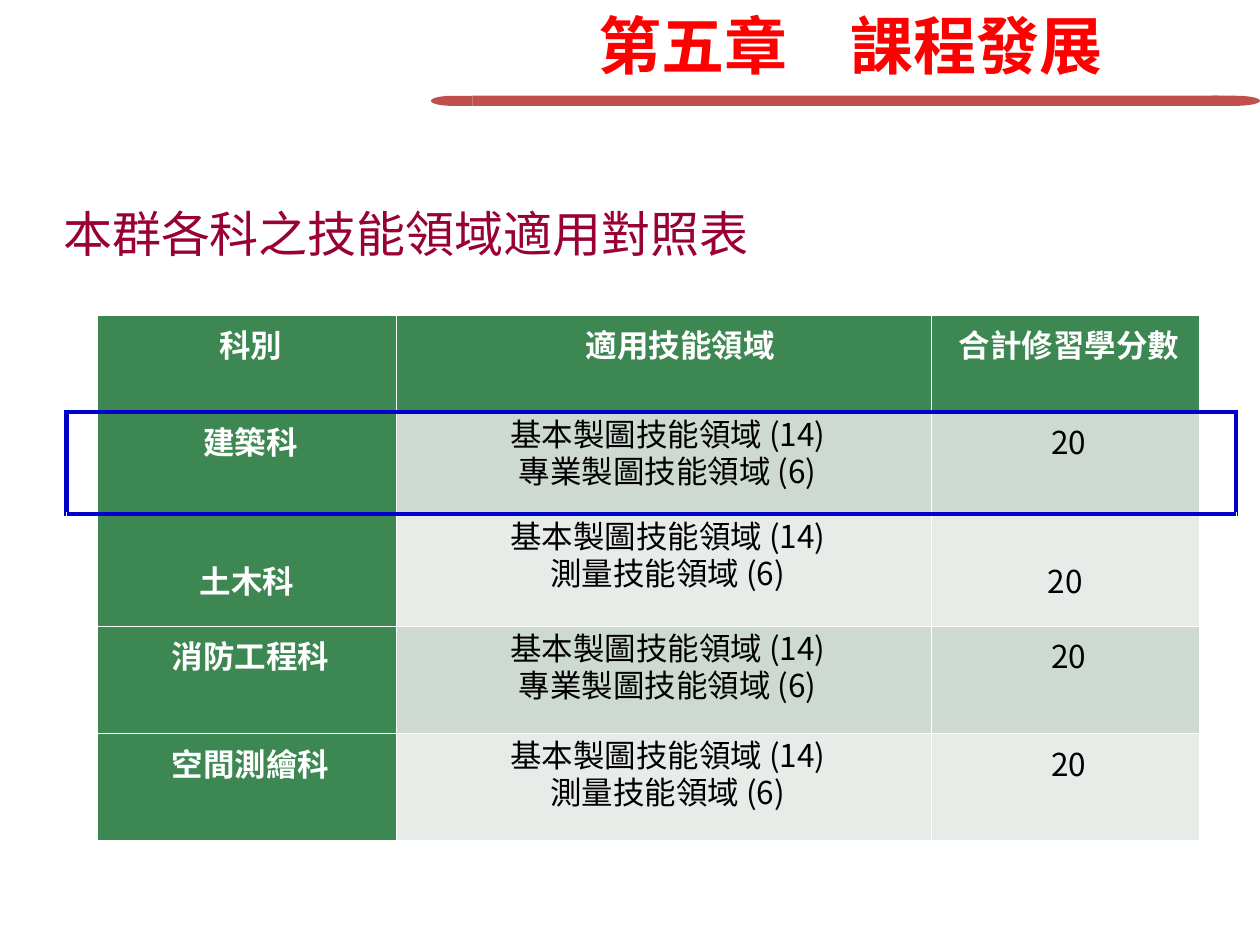
from pptx import Presentation
from pptx.dml.color import RGBColor
from pptx.enum.shapes import MSO_SHAPE as Kind
from pptx.enum.text import MSO_ANCHOR as Anchor, PP_ALIGN as Align
from pptx.oxml.ns import qn
from pptx.util import Inches, Pt
from lxml.etree import SubElement as Sub

WIDE, HIGH = 10, 7.5
COLS, ROWS = 100, 75
WHITE, BLACK, GREEN, BLUE = "FFFFFF", "000000", "3D8752", "0000CC"
BANDS = ["CEDAD1", "E8ECE9"]
CJK = "Noto Sans CJK SC"


def paint(code):
    return RGBColor.from_string(code)


class Page:
    """Draws on one slide; lengths are in columns and rows of the grid."""

    def __init__(self, deck):
        self.slide = deck.slides.add_slide(deck.slide_layouts[6])
        self.shapes = self.slide.shapes

    def span(self, cols):
        return Inches(cols * WIDE / COLS)

    def drop(self, rows):
        return Inches(rows * HIGH / ROWS)

    def place(self, x, y, w, h):
        return self.span(x), self.drop(y), self.span(w), self.drop(h)

    def block(self, kind, box, color, turn=0):
        shape = self.shapes.add_shape(kind, *self.place(*box))
        shape.shadow.inherit = False
        shape.fill.solid()
        shape.fill.fore_color.rgb = paint(color)
        shape.line.fill.background()
        shape.rotation = turn

    def style(self, para, size, color, bold=False, face=CJK, align=Align.CENTER):
        para.alignment = align
        font = para.font
        font.size, font.bold, font.name = Pt(size), bold, face
        font.color.rgb = paint(color)
        Sub(font._element, qn("a:ea"), typeface=CJK)

    def label(self, box, text, size, color, inset=(0, 0), wrap=True,
              anchor=Anchor.TOP, **look):
        frame = self.shapes.add_textbox(*self.place(*box)).text_frame
        frame.word_wrap = wrap
        frame.vertical_anchor = anchor
        frame.margin_left = frame.margin_right = self.span(inset[0])
        frame.margin_top = frame.margin_bottom = self.drop(inset[1])
        frame.text = text
        self.style(frame.paragraphs[0], size, color, **look)

    def table(self, x, y, wides, highs):
        frame = self.shapes.add_table(
            len(highs), len(wides), *self.place(x, y, sum(wides), sum(highs)))
        grid = frame.table
        grid.first_row = grid.horz_banding = False
        for col, wide in zip(grid.columns, wides):
            col.width = self.span(wide)
        for row, high in zip(grid.rows, highs):
            row.height = self.drop(high)
        for cell in grid.iter_cells():
            cell.fill.background()
        return grid

    def edge(self, cell, sides):
        """Set cell borders; sides maps L, R, T, B to (colour, points)."""
        props = cell._tc.get_or_add_tcPr()
        for spot, side in enumerate("LRTB"):
            color, width = sides[side]
            line = Sub(props, qn(f"a:ln{side}"), w=str(Pt(width)))
            fill = Sub(line, qn("a:solidFill"))
            Sub(fill, qn("a:srgbClr"), val=color)
            props.insert(spot, line)

    def entry(self, cell, text, fill, color, bold=False, indent=0.6,
              lead=None, align=Align.CENTER):
        cell.fill.solid()
        cell.fill.fore_color.rgb = paint(fill)
        cell.text_frame.text = text
        for para in cell.text_frame.paragraphs:
            self.style(para, 18, color, bold, align=align)
            para._p.get_or_add_pPr().set("marL", str(self.span(indent)))
            if lead:
                para.line_spacing = Pt(lead)


def frame_row(page, grid, pick):
    """Thin white rules everywhere, with a thick blue box round one row."""
    thin, thick = (WHITE, 0.45), (BLUE, 3)
    last = len(grid.columns) - 1
    for r in range(len(grid.rows)):
        for c in range(last + 1):
            page.edge(grid.cell(r, c), {
                "L": thick if r == pick and c == 0 else thin,
                "R": thick if r == pick and c == last else thin,
                "T": thick if r in (pick, pick + 1) else thin,
                "B": thick if r in (pick - 1, pick) else thin})


def main():
    deck = Presentation()
    deck.slide_width, deck.slide_height = Inches(WIDE), Inches(HIGH)
    page = Page(deck)

    red = "C0504D"
    page.block(Kind.FLOWCHART_DELAY, (96.2, 7.6, 3.8, 0.8), red)
    page.block(Kind.RECTANGLE, (37.5, 7.6, 59.2, 0.8), red)
    page.block(Kind.FLOWCHART_DELAY, (34.2, 7.6, 3.3, 0.8), red, turn=180)
    page.label((46.5, 0, 42, 7), "第五章　課程發展", 36, "FF0000",
               inset=(1, 0.5), wrap=False, bold=True, face="Arial")
    page.label((3.6, 16.1, 57.2, 4.8), "本群各科之技能領域適用對照表", 28,
               "990033", anchor=Anchor.MIDDLE, face="Calibri")

    grid = page.table(5.3, 25, [1.1, 23.8, 42.4, 21.3, 2.9],
                      [7.7, 8.1, 8.9, 8.5, 8.5])
    heads = ["科別", "適用技能領域", "合計修習學分數"]
    for c, head in enumerate(heads, 1):
        look = {"indent": 14, "align": Align.LEFT} if c == 2 else {}
        page.entry(grid.cell(0, c), head, GREEN, WHITE, bold=True, **look)

    base = "基本製圖技能領域 (14)"
    draft, survey = "專業製圖技能領域 (6)", "測量技能領域 (6)"
    depts = [("建築科", draft), ("土木科", survey),
             ("消防工程科", draft), ("空間測繪科", survey)]
    for r, (dept, skill) in enumerate(depts, 1):
        band = BANDS[(r - 1) % 2]
        low = dept == "土木科"
        indent = 0 if low else 0.6
        page.entry(grid.cell(r, 1), dept, GREEN, WHITE, True, indent)
        page.entry(grid.cell(r, 2), f"{base}\n{skill}", band, BLACK, lead=21.2)
        page.entry(grid.cell(r, 3), "20", band, BLACK, indent=indent)
        if low:
            for c in (1, 3):
                grid.cell(r, c).margin_top = page.drop(3.4)

    frame_row(page, grid, pick=1)
    grid.cell(2, 4).merge(grid.cell(4, 4))
    deck.save("out.pptx")


if __name__ == "__main__":
    main()
